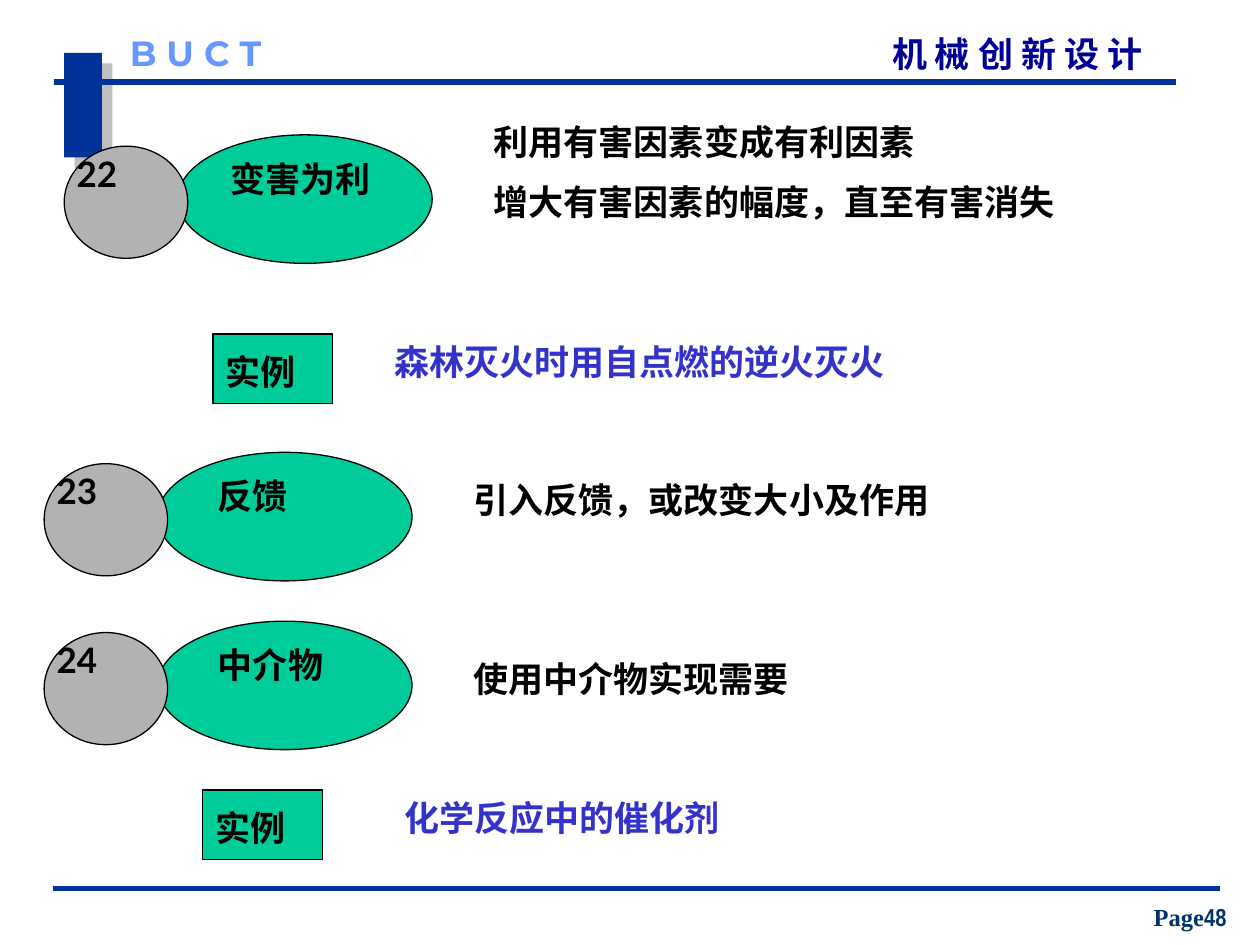
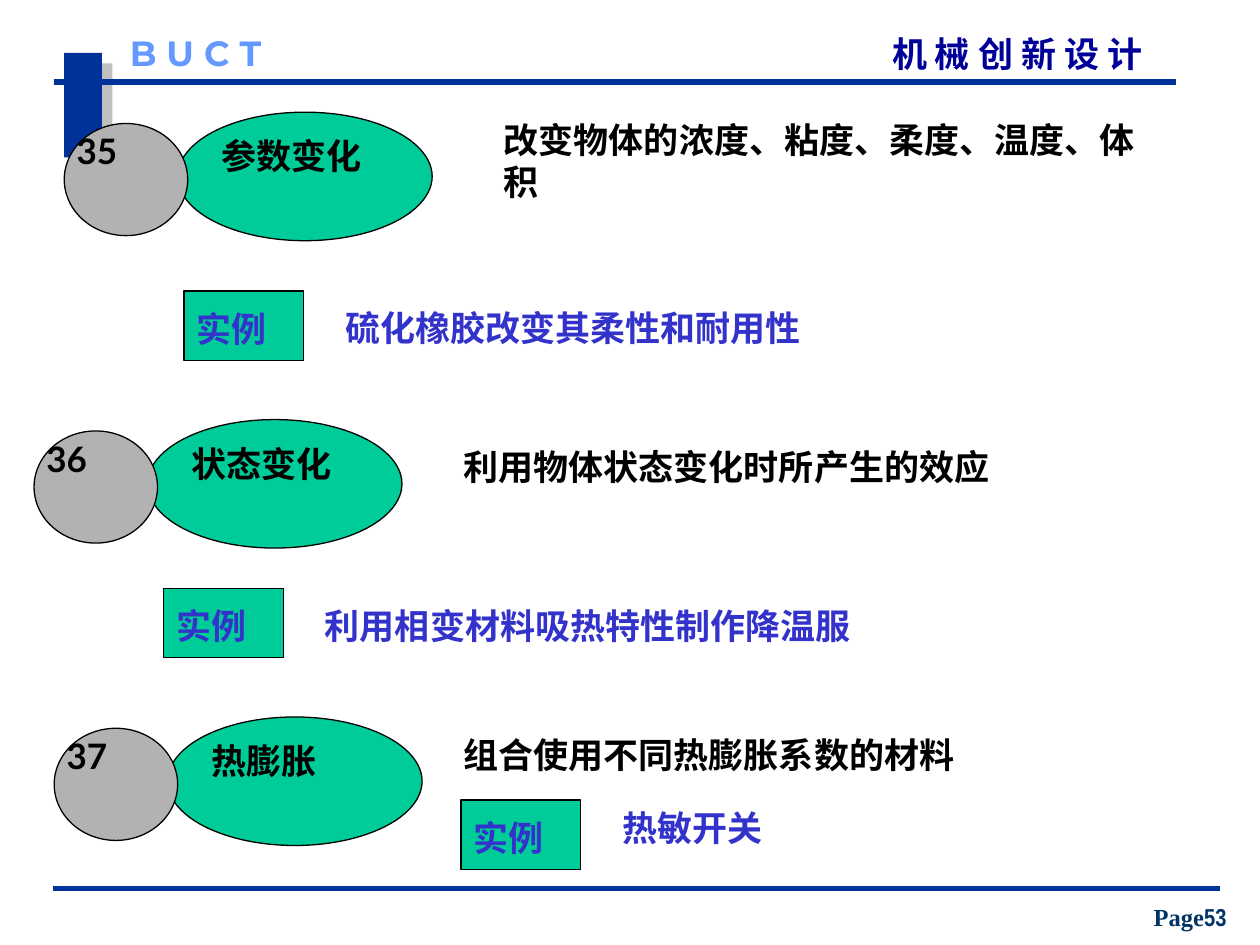
from lxml import etree
from pptx import Presentation
from pptx.dml.color import RGBColor
from pptx.enum.shapes import MSO_CONNECTOR, MSO_SHAPE
from pptx.enum.text import MSO_ANCHOR, MSO_AUTO_SIZE, PP_ALIGN
from pptx.oxml import parse_xml
from pptx.oxml.ns import nsdecls, qn
from pptx.util import Inches, Pt

NAVY = "003399"
GREEN = "00CC99"
GRAY = "B2B2B2"
BLACK = "000000"
VIOLET = "3333CC"
TITLE_BLUE = "000099"
SKY = "6699FF"
PAGE_BLUE = "003366"

BODY_FONT = "Lato"
TITLE_FONT = "Noto Sans CJK SC"
BRAND_FONT = "Montserrat"

BAND_SHADOW = (
    f'<a:effectLst {nsdecls("a")}><a:outerShdw dist="107950" dir="2700000" '
    'algn="ctr" rotWithShape="0"><a:srgbClr val="808080"><a:alpha val="50000"/>'
    '</a:srgbClr></a:outerShdw></a:effectLst>'
)


def color(value):
    return RGBColor.from_string(value)


class Deck:
    """Holds the shared style and the slide being built."""

    def __init__(self):
        self.presentation = Presentation()
        self.presentation.slide_width = Inches(10)
        self.presentation.slide_height = Inches(7.5)
        self.slide = None

    def new_slide(self, page):
        layout = self.presentation.slide_layouts[6]
        self.slide = self.presentation.slides.add_slide(layout)
        shapes = self.slide.shapes
        # Header band, rules and titles
        band = self.shape(shapes, MSO_SHAPE.RECTANGLE, 0.51, 0.42, 0.3, 0.83, NAVY)
        band.line.fill.background()
        properties = band.fill._xPr
        properties.remove(properties.find(qn("a:effectLst")))
        properties.append(parse_xml(BAND_SHADOW))
        self.rule(0.43, 9.33, 0.65)
        self.text(shapes, 7.08, 0.26, 2.46, 0.33, ["机 械 创 新 设 计"],
                  TITLE_BLUE, TITLE_FONT, inset=0)
        self.rule(0.42, 9.68, 7.05)
        self.text(shapes, 1.03, 0.25, 1.42, 0.33, ["B U C T"],
                  SKY, BRAND_FONT, inset=0)
        self.page_number(page)

    def shape(self, shapes, kind, left, top, width, height, fill):
        shape = shapes.add_shape(kind, Inches(left), Inches(top),
                                 Inches(width), Inches(height))
        shape.shadow.inherit = False
        shape.fill.solid()
        shape.fill.fore_color.rgb = color(fill)
        shape.line.color.rgb = color(BLACK)
        shape.line.width = Pt(0.75)
        return shape

    def rule(self, start, end, top):
        line = self.slide.shapes.add_connector(
            MSO_CONNECTOR.STRAIGHT, Inches(start), Inches(top),
            Inches(end), Inches(top))
        line.line.color.rgb = color(NAVY)
        line.line.width = Pt(3)
        etree.SubElement(line._element.spPr, qn("a:effectLst"))

    def text(self, shapes, left, top, width, height, lines,
             ink=BLACK, font_name=BODY_FONT, inset=0.1, indent=0):
        box = shapes.add_textbox(Inches(left), Inches(top),
                                 Inches(width), Inches(height))
        frame = box.text_frame
        frame.word_wrap = True
        frame.auto_size = MSO_AUTO_SIZE.SHAPE_TO_FIT_TEXT
        frame.margin_left = Inches(inset + indent)
        frame.margin_right = Inches(inset)
        frame.margin_top = frame.margin_bottom = Inches(inset / 2)
        for index, line in enumerate(lines):
            paragraph = frame.add_paragraph() if index else frame.paragraphs[0]
            paragraph.text = line
            if index:
                paragraph.space_before = Pt(10)
            font = paragraph.font
            font.size, font.bold, font.name = Pt(20), True, font_name
            font.color.rgb = color(ink)
            # East Asian typeface follows the Latin one
            east_asian = etree.SubElement(font._element, qn("a:ea"))
            east_asian.set("typeface", font_name)

    def page_number(self, page):
        box = self.slide.shapes.add_textbox(Inches(8.97), Inches(7.11),
                                            Inches(0.95), Inches(0.33))
        frame = box.text_frame
        frame.word_wrap = True
        frame.vertical_anchor = MSO_ANCHOR.BOTTOM
        paragraph = frame.paragraphs[0]
        paragraph.alignment = PP_ALIGN.CENTER
        paragraph.font.size, paragraph.font.bold = Pt(14), True
        paragraph.font.color.rgb = color(PAGE_BLUE)
        for words, font_name in (("Page", "Times New Roman"),
                                 (str(page), "Arial Narrow")):
            run = paragraph.add_run()
            run.text = words
            run.font.name = font_name

    def principle(self, left, top, number, name, indent=0):
        """Numbered circle overlapping the ellipse that names the principle."""
        shapes = self.slide.shapes.add_group_shape().shapes
        self.shape(shapes, MSO_SHAPE.OVAL, left + 0.9, top - 0.09, 2.02, 1.02, GREEN)
        self.text(shapes, left + 1.15, top + 0.04, 1.64, 0.5, [name], indent=indent)
        self.shape(shapes, MSO_SHAPE.OVAL, left, top, 0.98, 0.89, GRAY)
        self.text(shapes, left, top, 0.65, 0.5, [str(number)])

    def explanation(self, left, top, width, *lines):
        self.text(self.slide.shapes, left, top, width, 0.5, lines)

    def example(self, left, top, words, words_left, words_top, width, tag_ink):
        """Tag box with the example beside it."""
        shapes = self.slide.shapes.add_group_shape().shapes
        self.shape(shapes, MSO_SHAPE.RECTANGLE, left, top, 0.95, 0.55, GREEN)
        self.text(shapes, left, top + 0.08, 0.95, 0.5, ["实例"], tag_ink)
        self.text(shapes, words_left, words_top, width, 0.5, [words], VIOLET)


def main():
    deck = Deck()

    # Principles 22 to 24
    deck.new_slide(48)
    deck.principle(0.51, 1.16, 22, "变害为利", indent=0.07)
    deck.explanation(3.82, 0.91, 5.91, "利用有害因素变成有利因素",
                     "增大有害因素的幅度，直至有害消失")
    deck.example(1.69, 2.65, "森林灭火时用自点燃的逆火灭火", 3.03, 2.65, 5.2, BLACK)
    deck.principle(0.35, 3.68, 23, "反馈", indent=0.13)
    deck.explanation(3.66, 3.75, 5.28, "引入反馈，或改变大小及作用")
    deck.principle(0.35, 5.02, 24, "中介物", indent=0.13)
    deck.explanation(3.66, 5.17, 4.33, "使用中介物实现需要")
    deck.example(1.61, 6.27, "化学反应中的催化剂", 3.11, 6.27, 3.7, BLACK)

    # Principles 35 to 37
    deck.new_slide(53)
    deck.principle(0.51, 0.98, 35, "参数变化")
    deck.explanation(3.9, 0.89, 5.35, "改变物体的浓度、粘度、柔度、温度、体积")
    deck.example(1.46, 2.31, "硫化橡胶改变其柔性和耐用性", 2.64, 2.38, 5.28, VIOLET)
    deck.principle(0.27, 3.42, 36, "状态变化")
    deck.explanation(3.58, 3.49, 5.35, "利用物体状态变化时所产生的效应")
    deck.example(1.3, 4.67, "利用相变材料吸热特性制作降温服", 2.48, 4.75, 5.28, VIOLET)
    deck.principle(0.43, 5.78, 37, "热膨胀")
    deck.explanation(3.58, 5.77, 5.35, "组合使用不同热膨胀系数的材料")
    deck.example(3.66, 6.35, "热敏开关", 4.84, 6.35, 1.81, VIOLET)

    deck.presentation.save("out.pptx")


if __name__ == "__main__":
    main()
